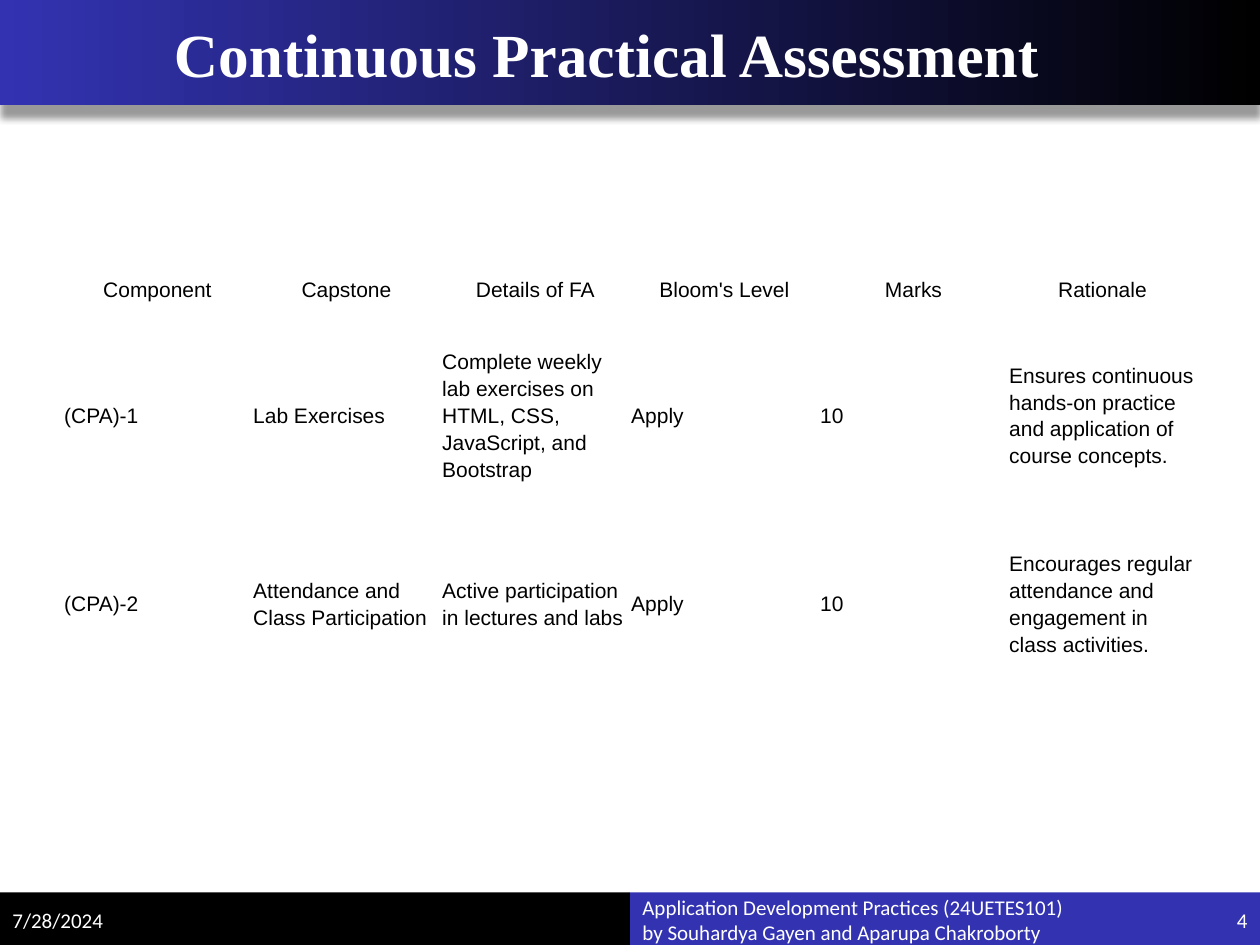
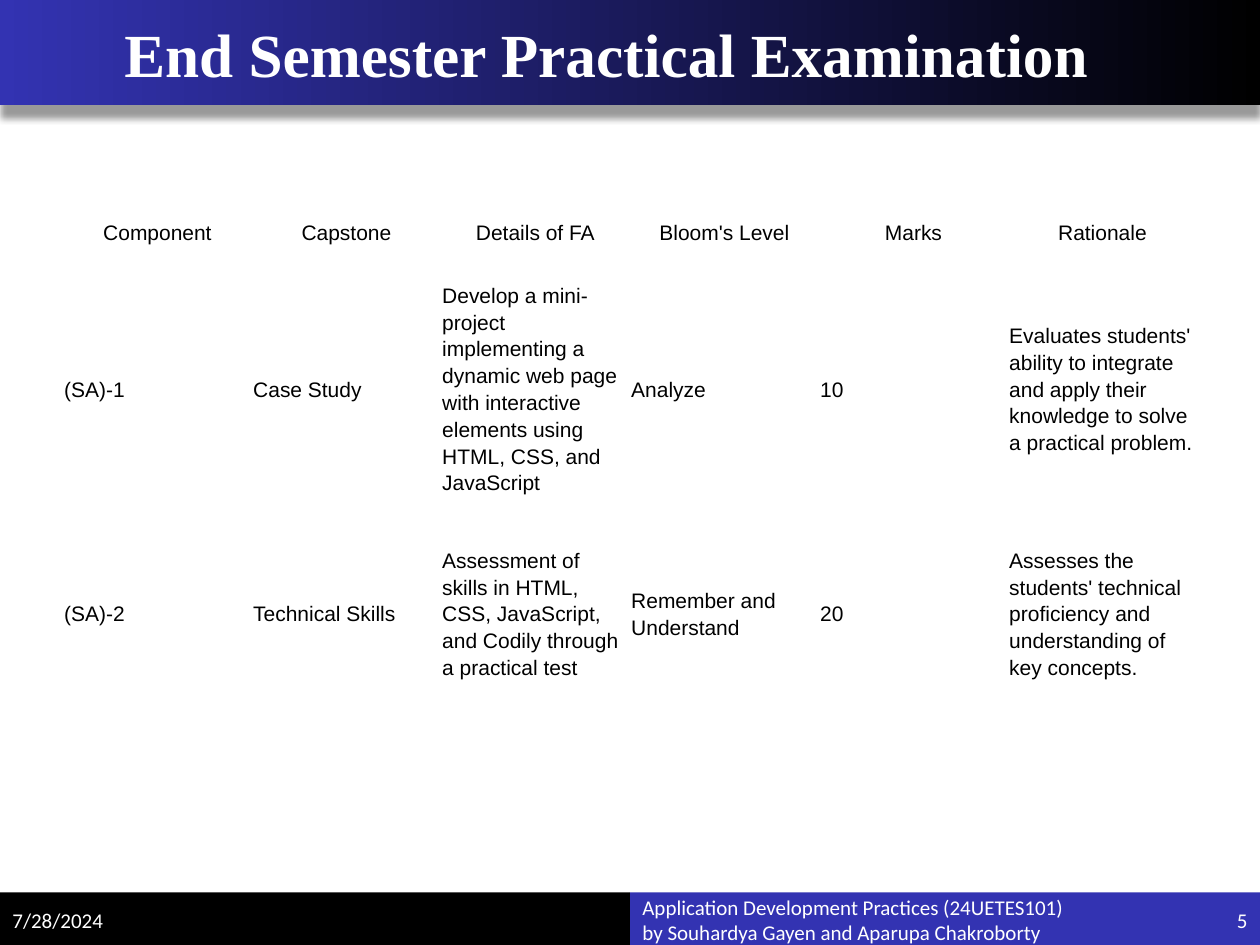
from dataclasses import dataclass

from lxml import etree
from pptx import Presentation
from pptx.dml.color import RGBColor
from pptx.enum.shapes import MSO_SHAPE
from pptx.enum.text import MSO_ANCHOR, PP_ALIGN
from pptx.oxml.ns import qn
from pptx.util import Emu, Inches, Pt

RECT = MSO_SHAPE.RECTANGLE
MIDDLE = MSO_ANCHOR.MIDDLE
LEFT, CENTER, RIGHT = PP_ALIGN.LEFT, PP_ALIGN.CENTER, PP_ALIGN.RIGHT

COLORS = {"black": "000000", "blue": "3333B2", "white": "FFFFFF"}

SLIDE_W, SLIDE_H = Inches(10), Inches(7.5)
GRID_COLS, GRID_ROWS = 120, 90
TABLE_LEFT, TABLE_COL = 6, 18

TITLE_FONT = {"name": "Times New Roman", "size": Pt(35), "bold": True}
FOOTER_FONT = {"name": "Calibri", "size": Pt(12)}
CELL_FONT = {"name": "Arial", "size": Pt(12)}
CELL_PARAGRAPH = {"line_spacing": 1.14, "space_after": Pt(10)}
CELL_FORMAT = {
    "vertical_anchor": MIDDLE,
    **{f"margin_{side}": Inches(0.01) for side in ("left", "top", "right", "bottom")},
}
FRAME_FORMAT = {"word_wrap": True, "vertical_anchor": MIDDLE}
SHADOW = {"blurRad": Pt(4), "dist": Pt(7), "dir": 90 * 60000, "rotWithShape": 0}
SHADOW_ALPHA = 40 * 1000


@dataclass(frozen=True)
class Box:
    col: float
    row: float
    cols: float
    rows: float

    def emu(self) -> tuple[Emu, Emu, Emu, Emu]:
        return x(self.col), y(self.row), x(self.cols), y(self.rows)


@dataclass(frozen=True)
class Label:
    box: Box
    lines: tuple[str, ...]
    font: dict
    align: PP_ALIGN = LEFT


@dataclass(frozen=True)
class Assessment:
    number: int
    title: str
    table_top: float
    row_heights: tuple[float, ...]
    components: tuple[tuple[str, ...], ...]


TITLE_BAND = Box(0, 0, 120, 10)
TITLE_BOX = Box(0, 0, 117, 10)
FOOTER_BANDS = ((Box(60, 85, 60, 5), "blue"), (Box(0, 85, 60, 5), "black"))
DATE_BOX = Box(0, 85.2, 14, 4.8)
COURSE_BOX = Box(60, 85.2, 46, 4.8)
NUMBER_BOX = Box(106, 85.2, 14, 4.8)

DATE = "7/28/2024"
COURSE = (
    "Application Development Practices (24UETES101)",
    "by Souhardya Gayen and Aparupa Chakroborty",
)
HEADERS = ("Component", "Capstone", "Details of FA", "Bloom's Level", "Marks", "Rationale")

ASSESSMENTS = (
    Assessment(
        4, "Continuous Practical Assessment ", 25.44, (4.08, 19.92, 15.96),
        (
            ("(CPA)-1", "Lab Exercises",
             "Complete weekly lab exercises on HTML, CSS, JavaScript, and Bootstrap",
             "Apply", "10",
             "Ensures continuous hands-on practice and application of course concepts."),
            ("(CPA)-2", "Attendance and Class Participation",
             "Active participation in lectures and labs",
             "Apply", "10",
             "Encourages regular attendance and engagement in class activities."),
        ),
    ),
    Assessment(
        5, "End Semester Practical Examination ", 20.4, (3.36, 26.4, 16.44),
        (
            ("(SA)-1", "Case Study",
             "Develop a mini-project implementing a dynamic web page with interactive "
             "elements using HTML, CSS, and JavaScript",
             "Analyze", "10",
             "Evaluates students' ability to integrate and apply their knowledge to "
             "solve a practical problem."),
            ("(SA)-2", "Technical Skills",
             "Assessment of skills in HTML, CSS, JavaScript, and Codily through a "
             "practical test",
             "Remember and Understand", "20",
             "Assesses the students' technical proficiency and understanding of key "
             "concepts."),
        ),
    ),
)


def x(cols: float) -> Emu:
    return Emu(round(SLIDE_W * cols / GRID_COLS))


def y(rows: float) -> Emu:
    return Emu(round(SLIDE_H * rows / GRID_ROWS))


def rgb(color: str) -> RGBColor:
    return RGBColor.from_string(COLORS[color])


def apply(target, values: dict) -> None:
    for name, value in values.items():
        setattr(target, name, value)


def write(p, text: str, font: dict, color: str, align: PP_ALIGN) -> None:
    p.alignment = align
    r = p.add_run()
    r.text = text
    apply(r.font, font)
    r.font.color.rgb = rgb(color)


def add_band(s, box: Box):
    sp = s.shapes.add_shape(RECT, *box.emu())
    sp.shadow.inherit = False
    sp.line.fill.background()
    return sp


def add_title_band(s) -> None:
    sp = add_band(s, TITLE_BAND)
    sp.fill.gradient()
    sp.fill.gradient_angle = 180
    for stop, color in zip(sp.fill.gradient_stops, ("black", "blue")):
        stop.color.rgb = rgb(color)
    effects = sp._element.spPr.find(qn("a:effectLst"))
    values = {name: str(value) for name, value in SHADOW.items()}
    shadow = etree.SubElement(effects, qn("a:outerShdw"), values)
    tint = etree.SubElement(shadow, qn("a:srgbClr"), val=COLORS["black"])
    etree.SubElement(tint, qn("a:alpha"), val=str(SHADOW_ALPHA))


def add_label(s, label: Label) -> None:
    tf = s.shapes.add_textbox(*label.box.emu()).text_frame
    apply(tf, FRAME_FORMAT)
    for i, line in enumerate(label.lines):
        p = tf.add_paragraph() if i else tf.paragraphs[0]
        write(p, line, label.font, "white", label.align)


def add_assessment_table(s, item: Assessment) -> None:
    rows = (HEADERS, *item.components)
    box = Box(TABLE_LEFT, item.table_top, TABLE_COL * len(HEADERS), sum(item.row_heights))
    table = s.shapes.add_table(len(rows), len(HEADERS), *box.emu()).table
    apply(table, {"first_row": False, "horz_banding": False})
    for column in table.columns:
        column.width = x(TABLE_COL)
    for i, (values, height) in enumerate(zip(rows, item.row_heights)):
        table.rows[i].height = y(height)
        for j, text in enumerate(values):
            cell = table.cell(i, j)
            cell.fill.background()
            apply(cell, CELL_FORMAT)
            p = cell.text_frame.paragraphs[0]
            apply(p, CELL_PARAGRAPH)
            write(p, text, CELL_FONT, "black", LEFT if i else CENTER)


def add_assessment_slide(prs, item: Assessment) -> None:
    s = prs.slides.add_slide(prs.slide_layouts[6])
    add_title_band(s)
    for box, color in FOOTER_BANDS:
        sp = add_band(s, box)
        sp.fill.solid()
        sp.fill.fore_color.rgb = rgb(color)
    for label in (
        Label(TITLE_BOX, (item.title,), TITLE_FONT, CENTER),
        Label(DATE_BOX, (DATE,), FOOTER_FONT),
        Label(COURSE_BOX, COURSE, FOOTER_FONT),
        Label(NUMBER_BOX, (str(item.number),), FOOTER_FONT, RIGHT),
    ):
        add_label(s, label)
    add_assessment_table(s, item)


def main() -> None:
    prs = Presentation()
    apply(prs, {"slide_width": SLIDE_W, "slide_height": SLIDE_H})
    for item in ASSESSMENTS:
        add_assessment_slide(prs, item)
    prs.save("out.pptx")


if __name__ == "__main__":
    main()
